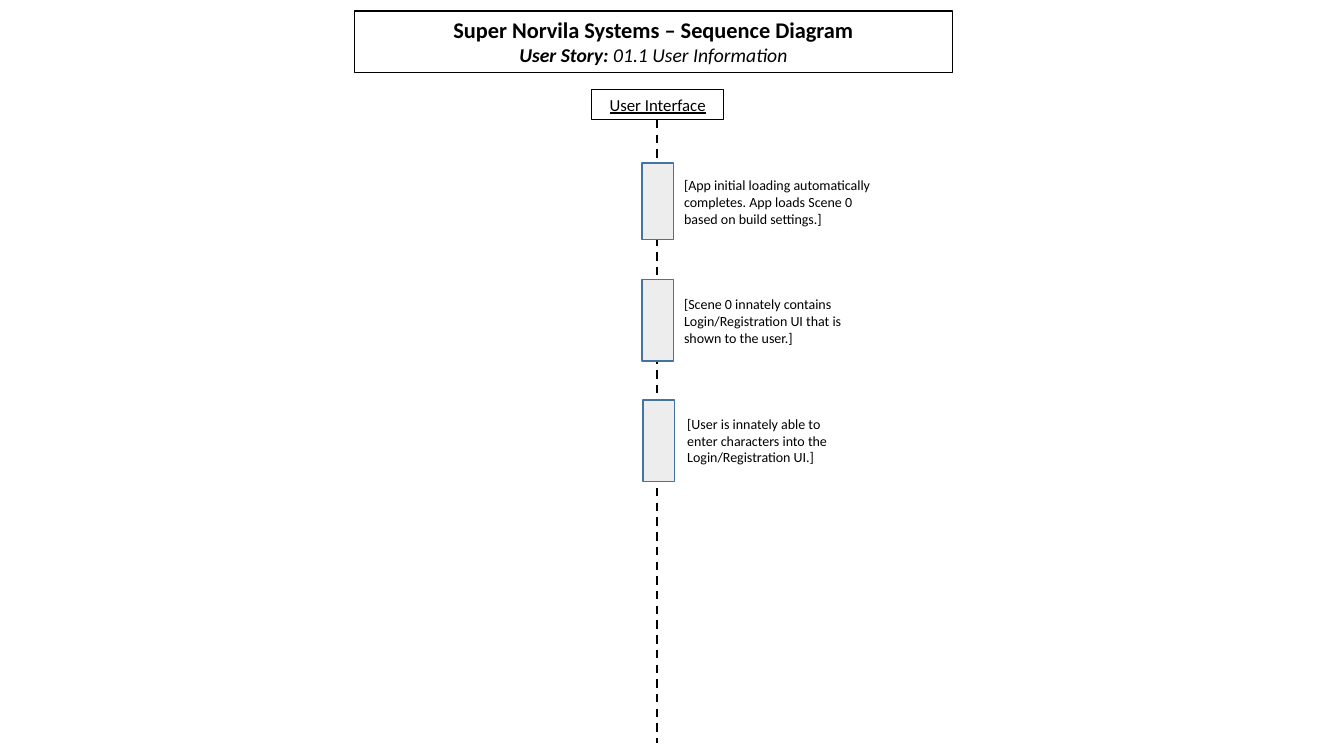
import pptx
import pptx.dml.color
import pptx.enum.dml
import pptx.enum.shapes
import pptx.enum.text
import pptx.util
from lxml import etree

Cm = pptx.util.Cm
Pt = pptx.util.Pt

COLORS = {"ink": "000000", "bar": "EDEDED", "bar_edge": "43739E"}
FONT = "Calibri"
BAR_WIDTH = 0.79
NOTE_HEIGHT = 1.55

# Bar left, top, height; note left, top, width (cm); note wording
STEPS = [
    (16.18, 4.11, 1.93, 16.99, 4.32, 5.23,
     "[App initial loading automatically completes. App loads Scene 0 based on build settings.]"),
    (16.18, 7.04, 2.06, 16.99, 7.32, 4.95,
     "[Scene 0 innately contains Login/Registration UI that is shown to the user.]"),
    (16.21, 10.08, 2.06, 17.07, 10.34, 4.27,
     "[User is innately able to enter characters into the Login/Registration UI.]"),
]


def color(name):
    return pptx.dml.color.RGBColor.from_string(COLORS[name])


def style_run(run, size, bold=False, italic=False, underline=False):
    font = run.font
    font.name = FONT
    font.size = Pt(size)
    font.bold = bold
    font.italic = italic
    font.underline = underline
    font.color.rgb = color("ink")


def add_box(slide, left, top, width, height, edge, fill=None):
    box = slide.shapes.add_shape(
        pptx.enum.shapes.MSO_SHAPE.RECTANGLE,
        Cm(left), Cm(top), Cm(width), Cm(height))
    box.shadow.inherit = False
    if fill:
        box.fill.solid()
        box.fill.fore_color.rgb = color(fill)
    else:
        box.fill.background()
    box.line.color.rgb = color(edge)
    box.line.width = Pt(1)
    return box


def add_label_box(slide, left, top, width, height, text):
    frame = add_box(slide, left, top, width, height, "ink").text_frame
    frame.word_wrap = True
    frame.vertical_anchor = pptx.enum.text.MSO_ANCHOR.TOP
    frame.text = text
    heading = frame.paragraphs[0]
    heading.alignment = pptx.enum.text.PP_ALIGN.CENTER
    return heading


def add_lifeline(slide, x, top, bottom):
    lifeline = slide.shapes.add_connector(
        pptx.enum.shapes.MSO_CONNECTOR.STRAIGHT, Cm(x), Cm(top), Cm(x), Cm(bottom))
    lifeline.line.color.rgb = color("ink")
    lifeline.line.width = Pt(1.5)
    lifeline.line.dash_style = pptx.enum.dml.MSO_LINE.DASH
    etree.SubElement(lifeline._element.spPr, pptx.oxml.ns.qn("a:effectLst"))


def add_note(slide, left, top, width, text):
    frame = slide.shapes.add_textbox(
        Cm(left), Cm(top), Cm(width), Cm(NOTE_HEIGHT)).text_frame
    frame.word_wrap = True
    frame.text = text
    style_run(frame.paragraphs[0].runs[0], 10)


def main():
    deck = pptx.Presentation()
    deck.slide_width = Cm(33.87)
    deck.slide_height = Cm(19.05)
    slide = deck.slides.add_slide(deck.slide_layouts[6])

    # Title, with the user story on its second line
    title = add_label_box(slide, 8.94, 0.28, 15.06, 1.55,
                          "Super Norvila Systems – Sequence Diagram\vUser Story: ")
    title.add_run().text = "01.1 User Information"
    name, story_label, story = title.runs
    style_run(name, 16, bold=True)
    style_run(story_label, 14, bold=True, italic=True)
    style_run(story, 14, italic=True)

    # Participant and its lifeline
    participant = add_label_box(slide, 14.91, 2.26, 3.33, 0.76, "User Interface")
    style_run(participant.runs[0], 12, underline=True)
    add_lifeline(slide, 16.56, 3.02, 18.72)

    # Activation bars with their notes
    for bar_left, bar_top, bar_height, note_left, note_top, note_width, text in STEPS:
        add_box(slide, bar_left, bar_top, BAR_WIDTH, bar_height, "bar_edge", "bar")
        add_note(slide, note_left, note_top, note_width, text)

    deck.save("out.pptx")


if __name__ == "__main__":
    main()
